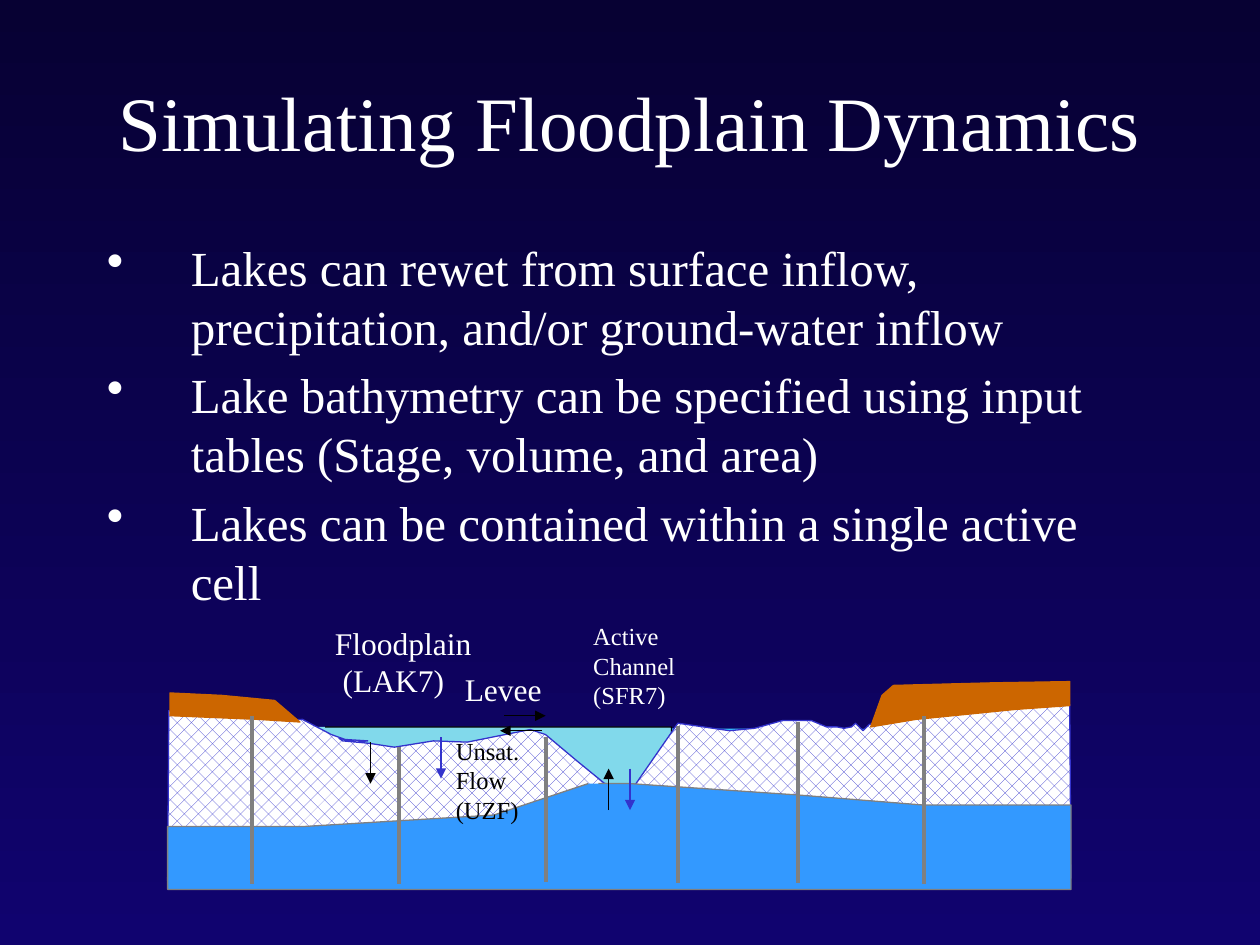
from lxml import etree
from pptx import Presentation
from pptx.dml.color import RGBColor
from pptx.enum.dml import MSO_PATTERN
from pptx.enum.shapes import MSO_CONNECTOR
from pptx.enum.text import MSO_ANCHOR, MSO_AUTO_SIZE, PP_ALIGN
from pptx.oxml.ns import qn
from pptx.util import Pt

STRAIGHT = MSO_CONNECTOR.STRAIGHT
DOTS = MSO_PATTERN.PERCENT_25
MIDDLE = MSO_ANCHOR.MIDDLE
CENTER = PP_ALIGN.CENTER
FIT_SHAPE = MSO_AUTO_SIZE.SHAPE_TO_FIT_TEXT

WHITE, BLACK, GREY = "FFFFFF", "000000", "808080"
INDIGO, BROWN = "3333CC", "CC6600"

CHANNEL_WATER = [
    (176.4, 416.2), (496.8, 416.9), (511.9, 403.2), (508.3, 405.4), (504.7, 411.8),
    (500.4, 413.3), (497.5, 416.2), (483.1, 420.5), (462.2, 428.4), (431.3, 439.2),
    (418.3, 434.2), (405.4, 438.5), (402.5, 451.4), (397.4, 462.2), (385.2, 469.4),
    (359.3, 469.4), (329.8, 469.4), (299.5, 469.4), (270.7, 468), (268.6, 450),
    (263.5, 433.4), (255.6, 426.2), (243.4, 427), (233.3, 433.4), (223.9, 432.7),
    (210.2, 432), (197.3, 432), (193.7, 432), (191.5, 432), (191.5, 430.6)]
FLOOD_WATER = [
    (185.8, 415.4), (383.8, 415.4), (383.8, 457.2), (185.8, 457.2), (180, 415.4)]
GROUND = [
    (95.8, 503.3), (96.5, 406.1), (124.6, 408.2), (162.7, 411.8), (172.8, 411.1),
    (189.4, 419.8), (197.3, 422.6), (210.2, 423.4), (203.8, 424.1), (200.9, 423.4),
    (193.7, 421.9), (195.8, 423.4), (211, 424.8), (225.4, 427), (247.7, 423.4),
    (267.1, 424.1), (303.1, 416.9), (311.8, 419.8), (329.8, 434.9), (345.6, 447.8),
    (362.9, 448.6), (387.4, 413.3), (416.9, 417.6), (431.3, 416.2), (447.1, 411.8),
    (463.7, 411.8), (472.3, 415.4), (478.1, 415.4), (482.4, 416.2), (486.7, 415.4),
    (488.9, 413.3), (493.2, 417.6), (496.8, 414), (517.7, 409.7), (563, 406.1),
    (611.3, 402.5), (612, 501.8)]
LEFT_BANK = [
    (97.2, 396), (126.7, 397.4), (157, 400.3), (171.4, 412.6), (147.6, 411.1), (97.2, 409)]
RIGHT_BANK = [
    (497.5, 415.4), (504, 397.4), (510.5, 391.7), (568.1, 390.2), (611.3, 389.5),
    (611.3, 403.2), (580.3, 405.4), (523.4, 411.1)]
GROUNDWATER = [
    (336.2, 447.8), (282.2, 465.8), (174.2, 472.3), (95.8, 472.3), (95.8, 508.3),
    (612, 508.3), (612, 460.1), (527.8, 460.1), (455.8, 454.3), (360, 447.8), (342, 447.8)]
CELL_WALLS = [
    (527.8, 409, 505.4), (455.8, 412.6, 504.7), (387.4, 414.7, 504.7),
    (311.8, 421.2, 504), (228.2, 427, 505.4), (144, 409, 505.4)]
FLOWS = [
    (252, 421.2, 252, 445, INDIGO), (211.7, 424.1, 211.7, 447.8, BLACK),
    (288, 409, 311.8, 409, BLACK), (309.6, 417.6, 285.8, 417.6, BLACK),
    (360, 439.2, 360, 463, INDIGO), (347.8, 463, 347.8, 439.2, BLACK)]
POINTS = [
    "Lakes can rewet from surface inflow, precipitation, and/or ground-water inflow",
    "Lake bathymetry can be specified using input tables (Stage, volume, and area)",
    "Lakes can be contained within a single active cell"]


def rgb(color):
    return RGBColor.from_string(color)


class Deck:
    font = "Times New Roman"

    def __init__(self, width, height):
        self.prs = Presentation()
        self.prs.slide_width, self.prs.slide_height = Pt(width), Pt(height)
        self.s = self.prs.slides.add_slide(self.prs.slide_layouts[6])

    def background(self, top, bottom):
        fill = self.s.background.fill
        fill.gradient()
        fill.gradient_angle = 270
        for stop, color in zip(fill.gradient_stops, (top, bottom)):
            stop.color.rgb = rgb(color)

    def text(self, x, y, w, h, text, size, color=WHITE):
        tf = self.s.shapes.add_textbox(Pt(x), Pt(y), Pt(w), Pt(h)).text_frame
        tf.word_wrap = True
        tf.text = text
        for p in tf.paragraphs:
            for r in p.runs:
                r.font.name = self.font
                r.font.size = Pt(size)
                r.font.color.rgb = rgb(color)
        return tf

    def title(self, x, y, w, h, text):
        tf = self.text(x, y, w, h, text, 44)
        tf.vertical_anchor = MIDDLE
        tf.paragraphs[0].alignment = CENTER

    def bullets(self, x, y, w, h, items, size=28, indent=48):
        tf = self.text(x, y, w, h, "\n".join(items), size)
        for i, p in enumerate(tf.paragraphs):
            if i:
                p.space_before = Pt(size * 0.2)
            pPr = p._p.get_or_add_pPr()
            pPr.set("marL", str(Pt(indent)))
            pPr.set("indent", str(-Pt(indent)))
            etree.SubElement(pPr, qn("a:buChar")).set("char", "•")

    def label(self, x, y, w, h, text, size, color=WHITE):
        tf = self.text(x, y, w, h, text, size, color)
        tf.word_wrap = False
        tf.auto_size = FIT_SHAPE

    def area(self, points, fill, line, close=True, pattern=None):
        start, *rest = [(Pt(x), Pt(y)) for x, y in points]
        builder = self.s.shapes.build_freeform(*start)
        builder.add_line_segments(rest, close=close)
        sp = builder.convert_to_shape()
        sp.shadow.inherit = False
        if pattern:
            sp.fill.patterned()
            sp.fill.pattern = pattern
            sp.fill.fore_color.rgb = rgb(fill)
            sp.fill.back_color.rgb = rgb(WHITE)
        else:
            sp.fill.solid()
            sp.fill.fore_color.rgb = rgb(fill)
        sp.line.color.rgb = rgb(line)
        sp.line.width = Pt(0.75)

    def line(self, x1, y1, x2, y2, color, width=0.75, arrow=False):
        cxn = self.s.shapes.add_connector(STRAIGHT, Pt(x1), Pt(y1), Pt(x2), Pt(y2))
        cxn.line.color.rgb = rgb(color)
        cxn.line.width = Pt(width)
        if arrow:
            etree.SubElement(cxn.line._get_or_add_ln(), qn("a:tailEnd")).set("type", "triangle")
        etree.SubElement(cxn._element.spPr, qn("a:effectLst"))


def main():
    deck = Deck(720, 540)
    deck.background("070133", "10036F")
    deck.title(54, 24, 612, 90, "Simulating Floodplain Dynamics")
    deck.bullets(54, 132, 612, 192, POINTS)

    deck.area(CHANNEL_WATER, "33CCFF", "33CCFF")
    deck.area(FLOOD_WATER, "81D9EB", BLACK, close=False)
    deck.area(GROUND, INDIGO, INDIGO, pattern=DOTS)
    for bank in (LEFT_BANK, RIGHT_BANK):
        deck.area(bank, BROWN, BROWN)

    deck.label(258.5, 379.4, 59, 28.8, "Levee", 18)
    deck.label(184.3, 352.8, 93.6, 51, "Floodplain\n (LAK7)", 18)
    deck.label(331.9, 351.4, 65.5, 58.3, "Active\nChannel\n(SFR7)", 14)

    deck.area(GROUNDWATER, "3399FF", GREY, close=False)
    for x, top, bottom in CELL_WALLS:
        deck.line(x, top, x, bottom, GREY, width=2.25)
    for x1, y1, x2, y2, color in FLOWS:
        deck.line(x1, y1, x2, y2, color, arrow=True)
    deck.label(253.4, 416.9, 51, 58.3, "Unsat.\nFlow\n(UZF)", 14, BLACK)

    deck.prs.save("out.pptx")


if __name__ == "__main__":
    main()
